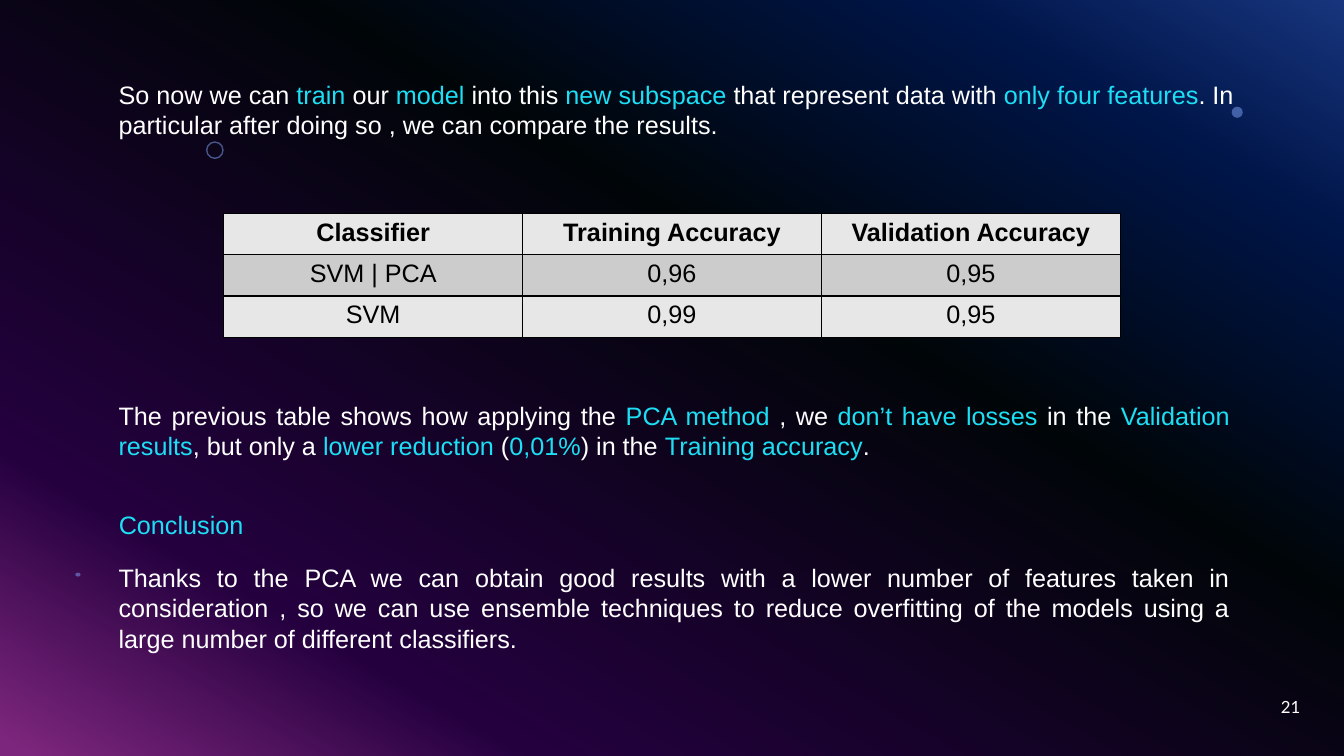
from dataclasses import dataclass

from lxml.etree import SubElement
from pptx import Presentation
from pptx.dml.color import RGBColor
from pptx.enum.shapes import MSO_SHAPE
from pptx.enum.text import MSO_ANCHOR, MSO_AUTO_SIZE, PP_ALIGN
from pptx.oxml import parse_xml
from pptx.oxml.ns import nsdecls, qn
from pptx.util import Cm, Pt


@dataclass(frozen=True)
class Theme:
    font: str = "Arial"
    number_font: str = "Lato"
    text_size: int = 18
    number_size: int = 12
    text: str = "FFFFFF"
    accent: str = "1CDFF5"
    dark: str = "000000"
    light_row: str = "E7E7E7"
    grey_row: str = "CCCCCC"
    dot: str = "83A7FD"
    backdrop: tuple = ((0, "316CFC"), (15, "022D94"), (39, "020C12"),
                       (80, "4A027F"), (99, "FC4EFB"))


theme = Theme()


def write(frame, marked_text, align, font=theme.font, size=theme.text_size):
    """Write one paragraph; words between asterisks take the accent colour."""
    frame.word_wrap = True
    frame.auto_size = MSO_AUTO_SIZE.NONE
    paragraph = frame.paragraphs[0]
    paragraph.alignment = align
    for index, words in enumerate(marked_text.split("*")):
        if words:
            run = paragraph.add_run()
            run.text = words
            run.font.name = font
            run.font.size = Pt(size)
            colour = theme.accent if index % 2 else theme.text
            run.font.color.rgb = RGBColor.from_string(colour)


def set_alpha(color_format_fill, percent):
    """Make a solid fill partly transparent."""
    color_format_fill.solid()
    color = color_format_fill._xPr.find(qn("a:solidFill"))[0]
    SubElement(color, qn("a:alpha"), val=str(percent * 1000))


presentation = Presentation()
presentation.slide_width, presentation.slide_height = Cm(33.87), Cm(19.05)
slide = presentation.slides.add_slide(presentation.slide_layouts[5])
shapes = slide.shapes

# Background gradient, running from top right to bottom left
backdrop = slide.background.fill
backdrop.gradient()
backdrop.gradient_angle = 240
stops = backdrop._xPr.find(qn("a:gradFill")).find(qn("a:gsLst"))
for stop in list(stops):
    stops.remove(stop)
for position, colour in theme.backdrop:
    stop = SubElement(stops, qn("a:gs"), pos=str(position * 1000))
    SubElement(stop, qn("a:srgbClr"), val=colour)

# Dark veil and small dots
decorations = [
    (MSO_SHAPE.RECTANGLE, 0, 0, 33.87, 19.05, theme.dark, 50, True),
    (MSO_SHAPE.OVAL, 31.04, 2.69, 0.28, 0.28, theme.dot, 49, True),
    (MSO_SHAPE.OVAL, 5.21, 3.58, 0.41, 0.41, theme.dot, 49, False),
    (MSO_SHAPE.OVAL, 1.9, 14.43, 0.13, 0.1, theme.dot, 49, True),
]
for kind, left, top, width, height, colour, opacity, filled in decorations:
    decoration = shapes.add_shape(kind, Cm(left), Cm(top), Cm(width), Cm(height))
    decoration.shadow.inherit = False
    if filled:
        decoration.line.fill.background()
        paint = decoration.fill
    else:
        decoration.fill.background()
        decoration.line.width = Pt(1)
        paint = decoration.line.fill
    paint.solid()
    paint.fore_color.rgb = RGBColor.from_string(colour)
    set_alpha(paint, opacity)

# Paragraphs
passages = [
    (1.88, 30.89, 1.8, PP_ALIGN.LEFT,
     "So now we can *train *our *model *into this *new subspace *that represent "
     "data with *only four features*. In particular after doing so , we can "
     "compare the results."),
    (9.96, 28.5, 1.8, PP_ALIGN.JUSTIFY,
     "The previous table shows how applying the *PCA method *, we *don’t have "
     "losses *in the *Validation results*, but only a *lower reduction *(*0,01%*) "
     "in the *Training accuracy*."),
    (14.05, 28.5, 2.57, PP_ALIGN.JUSTIFY,
     "Thanks to the PCA we can obtain good results with a lower number of features "
     "taken in consideration , so we can use ensemble techniques to reduce "
     "overfitting of the models using a large number of different classifiers."),
]
for top, width, height, align, passage in passages:
    box = shapes.add_textbox(Cm(2.74), Cm(top), Cm(width), Cm(height))
    write(box.text_frame, passage, align)

# Conclusion heading, brought in front of the veil
conclusion = shapes.title
conclusion.left, conclusion.top = Cm(2.74), Cm(12.7)
conclusion.width, conclusion.height = Cm(27.81), Cm(1.02)
conclusion.text_frame.vertical_anchor = MSO_ANCHOR.TOP
write(conclusion.text_frame, "*Conclusion*", PP_ALIGN.LEFT)
shapes._spTree.append(conclusion._element)

# Accuracy table
results = [
    ("Classifier", "Training Accuracy", "Validation Accuracy"),
    ("SVM | PCA", "0,96", "0,95"),
    ("SVM", "0,99", "0,95"),
]
accuracy = shapes.add_table(3, 3, Cm(5.64), Cm(5.38), Cm(22.59), Cm(3.12)).table
accuracy.horz_banding = False
for row_index, result in enumerate(results):
    accuracy.rows[row_index].height = Cm(1.04)
    row_colour = theme.grey_row if row_index % 2 else theme.light_row
    for column_index, value in enumerate(result):
        cell = accuracy.cell(row_index, column_index)
        cell.text_frame.text = value
        paragraph = cell.text_frame.paragraphs[0]
        paragraph.alignment = PP_ALIGN.CENTER
        font = paragraph.runs[0].font
        font.name, font.size = theme.font, Pt(theme.text_size)
        font.bold = row_index == 0
        font.color.rgb = RGBColor.from_string(theme.dark)
        for side in ("lnL", "lnR", "lnT", "lnB"):
            cell._tc.get_or_add_tcPr().append(parse_xml(
                f'<a:{side} {nsdecls("a")} w="12700"><a:solidFill>'
                f'<a:srgbClr val="{theme.dark}"/></a:solidFill></a:{side}>'))
        cell.fill.solid()
        cell.fill.fore_color.rgb = RGBColor.from_string(row_colour)

# Slide number
number = shapes.add_textbox(Cm(25.4), Cm(17.3), Cm(7.62), Cm(1.02))
number.text_frame.vertical_anchor = MSO_ANCHOR.MIDDLE
write(number.text_frame, "21", PP_ALIGN.RIGHT, theme.number_font, theme.number_size)

presentation.save("out.pptx")
